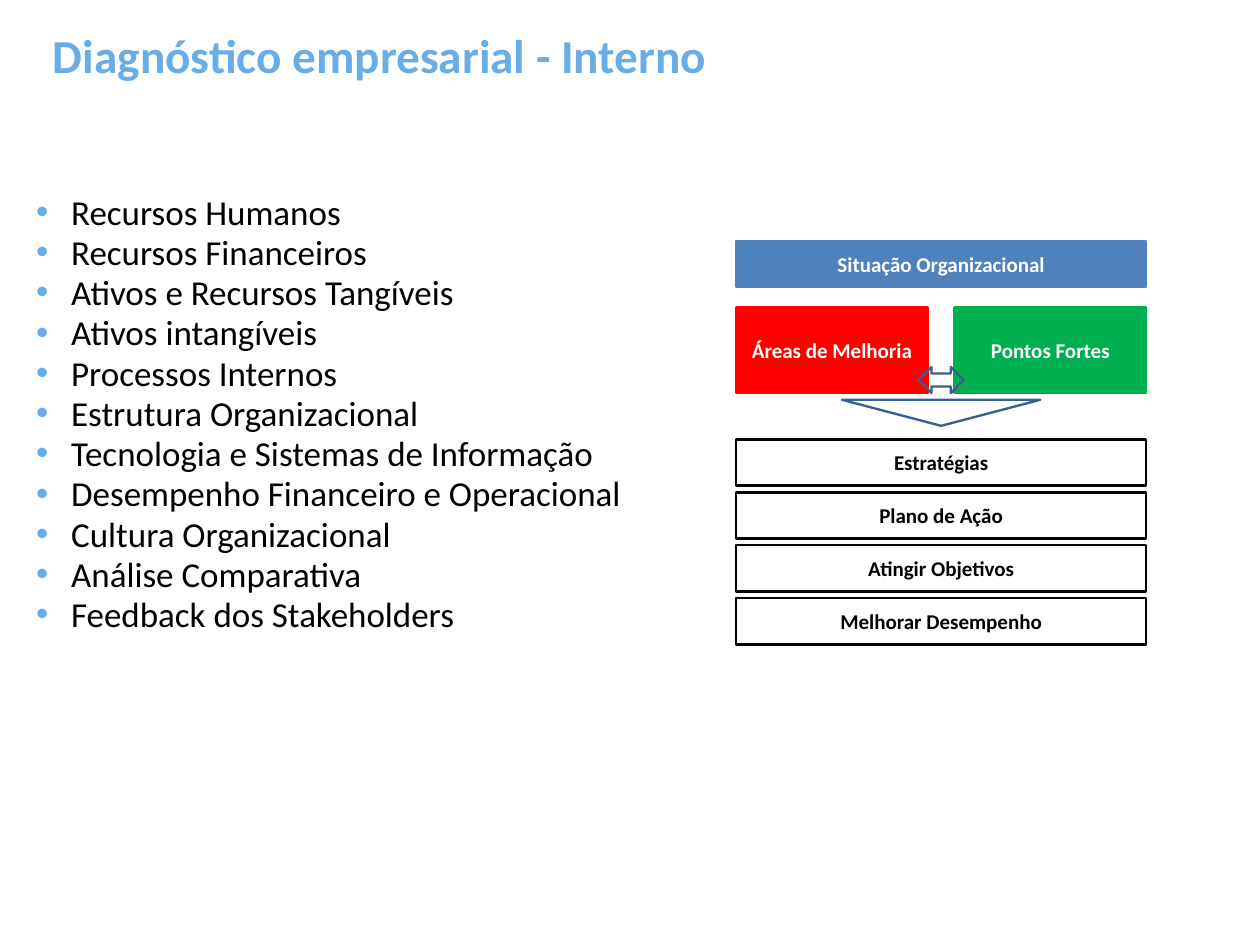
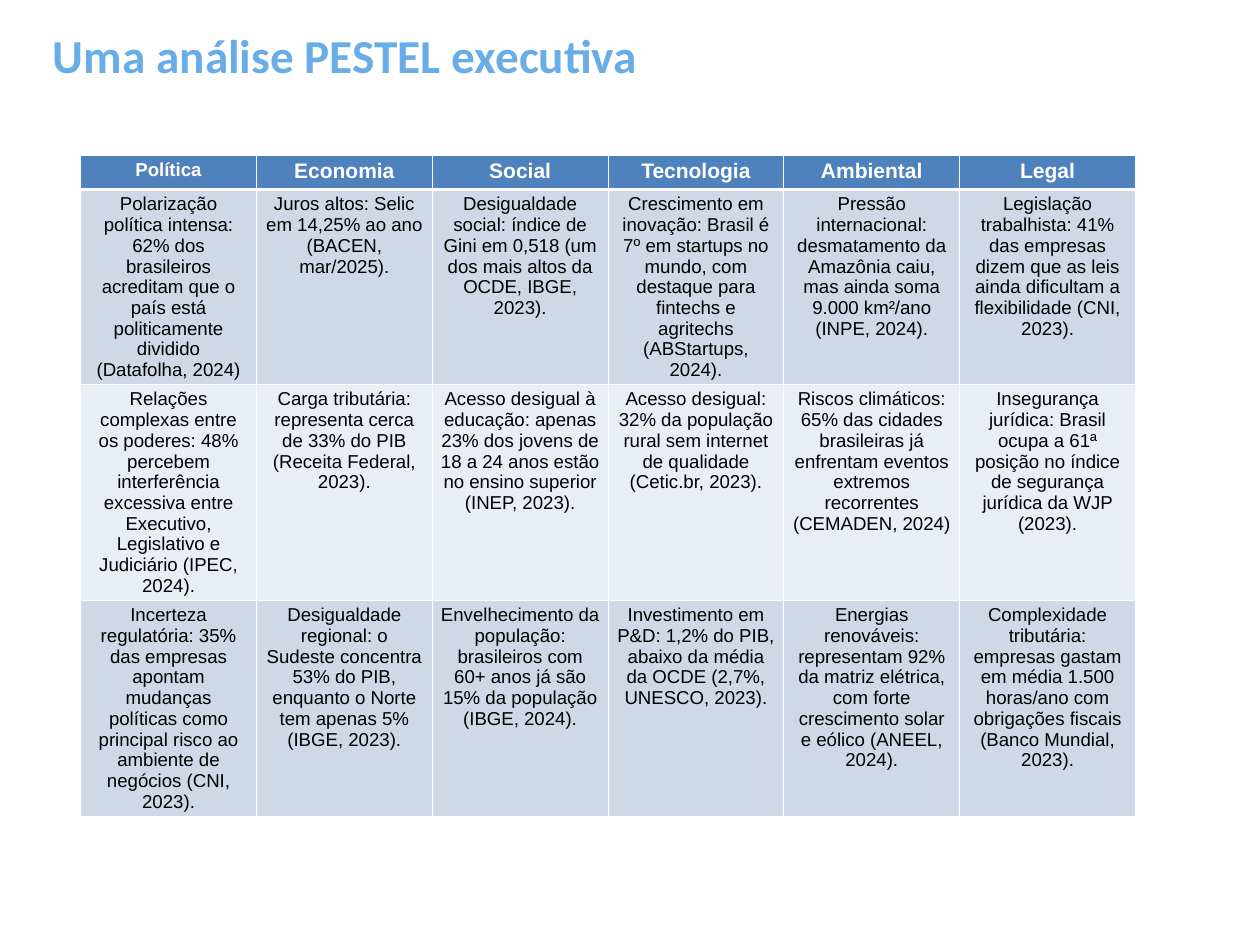
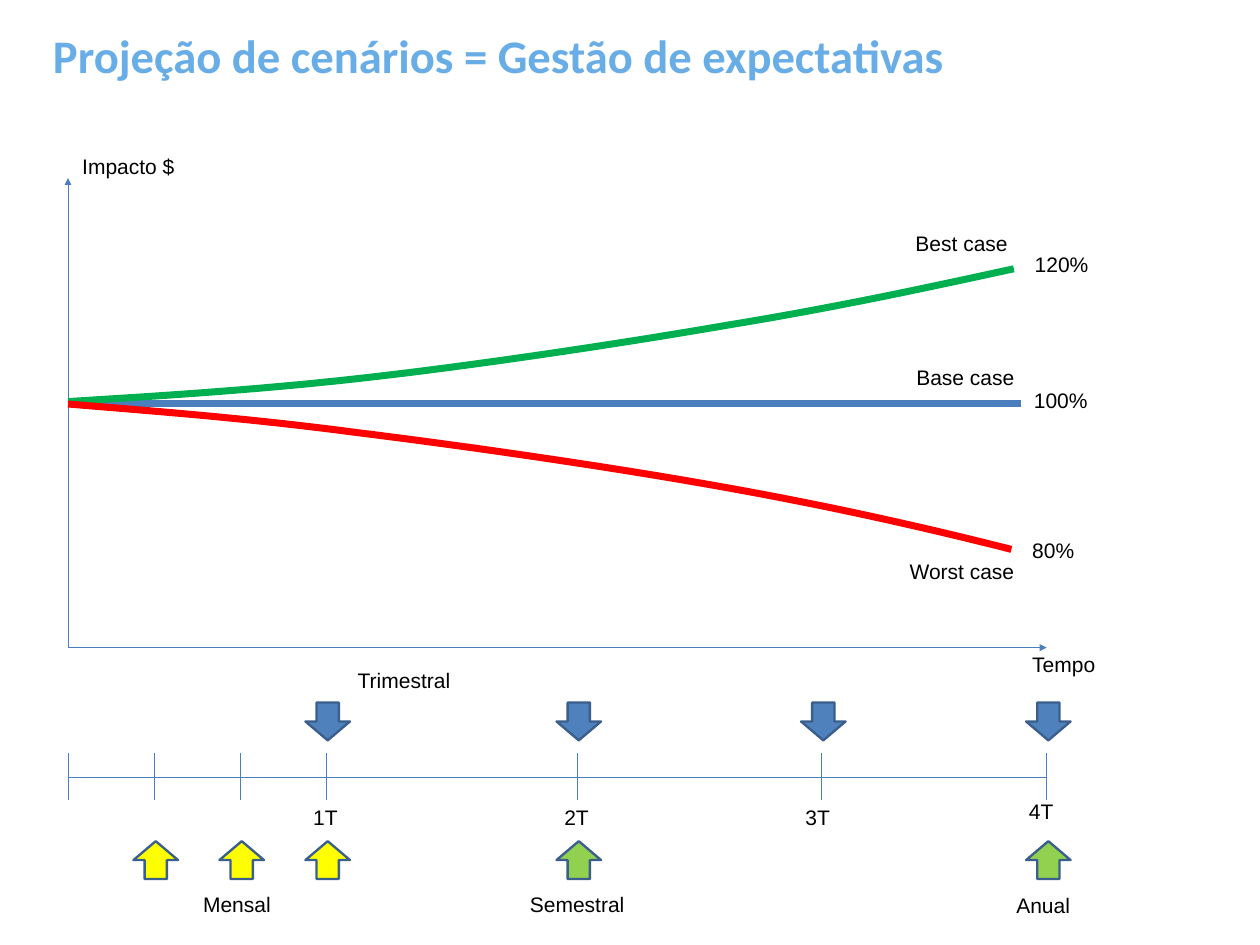
from lxml.etree import SubElement
from pptx import Presentation
from pptx.dml.color import RGBColor
from pptx.enum.shapes import MSO_CONNECTOR as Connector, MSO_SHAPE as Shape
from pptx.enum.text import MSO_ANCHOR as Anchor, MSO_AUTO_SIZE as AutoSize, PP_ALIGN as Align
from pptx.oxml.ns import qn
from pptx.util import Pt

# Shared colours and text formats
SKY = RGBColor(0x69, 0xAD, 0xE7)
BLUE = RGBColor(0x4F, 0x81, 0xBD)
LINE_BLUE = RGBColor(0x4B, 0x7E, 0xBC)
EDGE_BLUE = RGBColor(0x3A, 0x5F, 0x8C)
RED = RGBColor(0xFF, 0x00, 0x00)
GREEN = RGBColor(0x00, 0xB0, 0x50)
LIME = RGBColor(0x92, 0xD0, 0x50)
YELLOW = RGBColor(0xFF, 0xFF, 0x00)
BAND_DARK = RGBColor(0xD0, 0xD8, 0xE8)
BAND_LIGHT = RGBColor(0xE9, 0xED, 0xF4)
WHITE = RGBColor(0xFF, 0xFF, 0xFF)
BLACK = RGBColor(0x00, 0x00, 0x00)

BULLET_FORMAT = {"name": "Calibri", "size": Pt(30)}
BOX_FORMAT = {"name": "Calibri", "size": Pt(18), "bold": True}
LABEL_FORMAT = {"name": "Arial", "size": Pt(18)}

# Slide 1 content
RESOURCES = [
    "Recursos Humanos",
    "Recursos Financeiros",
    "Ativos e Recursos Tangíveis",
    "Ativos intangíveis",
    "Processos Internos",
    "Estrutura Organizacional",
    "Tecnologia e Sistemas de Informação",
    "Desempenho Financeiro e Operacional",
    "Cultura Organizacional",
    "Análise Comparativa",
    "Feedback dos Stakeholders",
]
SITUATION = "Situação Organizacional"
FINDINGS = [("Áreas de Melhoria", RED), ("Pontos Fortes", GREEN)]
STEPS = ["Estratégias", "Plano de Ação", "Atingir Objetivos", "Melhorar Desempenho"]

# Slide 2 content: one entry per column, heading first
PESTEL = [
    ("Política",
     "Polarização política intensa: 62% dos brasileiros acreditam que o país está "
     "politicamente dividido (Datafolha, 2024)",
     "Relações complexas entre os poderes: 48% percebem interferência excessiva entre "
     "Executivo, Legislativo e Judiciário (IPEC, 2024).",
     "Incerteza regulatória: 35% das empresas apontam mudanças políticas como principal "
     "risco ao ambiente de negócios (CNI, 2023)."),
    ("Economia",
     "Juros altos: Selic em 14,25% ao ano (BACEN, mar/2025).",
     "Carga tributária: representa cerca de 33% do PIB (Receita Federal, 2023).",
     "Desigualdade regional: o Sudeste concentra 53% do PIB, enquanto o Norte tem apenas "
     "5% (IBGE, 2023)."),
    ("Social",
     "Desigualdade social: índice de Gini em 0,518 (um dos mais altos da OCDE, IBGE, 2023).",
     "Acesso desigual à educação: apenas 23% dos jovens de 18 a 24 anos estão no ensino "
     "superior (INEP, 2023).",
     "Envelhecimento da população: brasileiros com 60+ anos já são 15% da população "
     "(IBGE, 2024)."),
    ("Tecnologia",
     "Crescimento em inovação: Brasil é 7º em startups no mundo, com destaque para "
     "fintechs e agritechs (ABStartups, 2024).",
     "Acesso desigual: 32% da população rural sem internet de qualidade (Cetic.br, 2023).",
     "Investimento em P&D: 1,2% do PIB, abaixo da média da OCDE (2,7%, UNESCO, 2023)."),
    ("Ambiental",
     "Pressão internacional: desmatamento da Amazônia caiu, mas ainda soma 9.000 km²/ano "
     "(INPE, 2024).",
     "Riscos climáticos: 65% das cidades brasileiras já enfrentam eventos extremos "
     "recorrentes (CEMADEN, 2024)",
     "Energias renováveis: representam 92% da matriz elétrica, com forte crescimento "
     "solar e eólico (ANEEL, 2024)."),
    ("Legal",
     "Legislação trabalhista: 41% das empresas dizem que as leis ainda dificultam a "
     "flexibilidade (CNI, 2023).",
     "Insegurança jurídica: Brasil ocupa a 61ª posição no índice de segurança jurídica da "
     "WJP (2023).",
     "Complexidade tributária: empresas gastam em média 1.500 horas/ano com obrigações "
     "fiscais (Banco Mundial, 2023)."),
]

# Slide 3 content: start point, then cubic segments (two handles and an end)
BEST_CASE = [(58.3, 344.2),
             (140.4, 339.1), (223.2, 334.1), (317.5, 323.3),
             (411.8, 312.5), (532.1, 294.5), (624.2, 278.6),
             (716.4, 263.5), (792.7, 247), (869, 230.4)]
WORST_CASE = [(58.3, 346.3),
              (136.1, 352.8), (213.8, 358.6), (306, 370.8),
              (398.9, 382.3), (519.1, 399.6), (612.7, 416.2),
              (706.3, 432.7), (787, 450.7), (866.9, 470.9)]
CHART_LABELS = [  # text, left, top, width
    ("Best case", 777.6, 194.4, 94.3), ("Base case", 778.3, 308.9, 99.4),
    ("Worst case", 772.6, 475.2, 105.1), ("Tempo", 877.7, 555.1, 69.1),
    ("Impacto $", 63.4, 128.2, 94.3), ("120%", 879.8, 211.7, 61.2),
    ("100%", 879.1, 329, 61.2), ("80%", 877.7, 457.2, 51.1),
    ("1T", 261.4, 686.2, 36), ("2T", 476.6, 686.2, 36),
    ("3T", 683.3, 686.2, 36), ("4T", 874.8, 681.1, 36),
    ("Mensal", 167, 760.3, 78.5), ("Trimestral", 299.5, 568.8, 99.4),
    ("Semestral", 447.1, 760.3, 101.5), ("Anual", 864, 761.8, 66.2),
]
AXIS_LEFT, AXIS_RIGHT, AXIS_TOP, AXIS_BOTTOM = 58.3, 897.1, 152.6, 555.1
BASE_Y, TIMELINE_Y = 345.6, 666
QUARTERS = [279.4, 494.6, 704.2, AXIS_RIGHT]
MONTH_GAP = (QUARTERS[0] - AXIS_LEFT) / 3
MONTHS = [AXIS_LEFT + MONTH_GAP * month for month in (1, 2, 3)]


def points(*lengths):
    return [Pt(length) for length in lengths]


def write(para, text, formats, color):
    span = para.add_run()
    span.text = text
    for name, value in formats.items():
        setattr(span.font, name, value)
    span.font.color.rgb = color


def place(shape, *frame):
    for name, value in zip(("left", "top", "width", "height"), points(*frame)):
        setattr(shape, name, value)


def add_page(deck, layout, title, size=40.5):
    page = deck.slides.add_slide(deck.slide_layouts[layout])
    box = page.shapes.title
    place(box, 38.2, 18.7, 807.8, 56.9)
    box.text_frame.vertical_anchor = Anchor.MIDDLE
    box.text_frame.auto_size = AutoSize.NONE
    para = box.text_frame.paragraphs[0]
    para.alignment = Align.LEFT
    write(para, title, {"name": "Calibri", "size": Pt(size), "bold": True}, SKY)
    return page


def outline(shape, color, width=2):
    shape.line.color.rgb = color
    shape.line.width = Pt(width)


def add_figure(page, kind, frame, fill, edge, rotation=0):
    shape = page.shapes.add_shape(kind, *points(*frame))
    shape.shadow.inherit = False
    shape.rotation = rotation
    if fill is None:
        shape.fill.background()
    else:
        shape.fill.solid()
        shape.fill.fore_color.rgb = fill
    outline(shape, edge)
    return shape


def add_box(page, frame, text, fill, edge, color=WHITE):
    frame_text = add_figure(page, Shape.RECTANGLE, frame, fill, edge).text_frame
    frame_text.word_wrap = True
    frame_text.vertical_anchor = Anchor.MIDDLE
    frame_text.paragraphs[0].alignment = Align.CENTER
    write(frame_text.paragraphs[0], text, BOX_FORMAT, color)


def add_line(page, start, end, color=LINE_BLUE, width=0.75, arrow=False):
    line = page.shapes.add_connector(Connector.STRAIGHT, *points(*start, *end))
    outline(line, color, width)
    if arrow:
        SubElement(line.line._get_or_add_ln(), qn("a:tailEnd"), type="triangle")
    SubElement(line._element.spPr, qn("a:effectLst"))


def add_curve(page, nodes, color, steps=20):
    curve = []
    for first in range(0, len(nodes) - 1, 3):
        segment = nodes[first:first + 4]
        for step in range(1, steps + 1):
            t = step / steps
            weights = ((1 - t) ** 3, 3 * t * (1 - t) ** 2, 3 * t * t * (1 - t), t ** 3)
            curve.append(points(*(sum(w * node[axis] for w, node in zip(weights, segment))
                                  for axis in (0, 1))))
    builder = page.shapes.build_freeform(*points(*nodes[0]))
    builder.add_line_segments(curve, close=False)
    shape = builder.convert_to_shape()
    shape.shadow.inherit = False
    shape.fill.background()
    outline(shape, color, 6)


def add_label(page, text, left, top, width):
    box = page.shapes.add_textbox(*points(left, top, width, 28.8))
    box.text_frame.word_wrap = False
    box.text_frame.auto_size = AutoSize.SHAPE_TO_FIT_TEXT
    write(box.text_frame.paragraphs[0], text, LABEL_FORMAT, BLACK)


def add_bullets(body, items):
    body.text_frame.auto_size = AutoSize.NONE
    for index, item in enumerate(items):
        para = body.text_frame.add_paragraph() if index else body.text_frame.paragraphs[0]
        para.line_spacing = Pt(28.5)
        para.space_before = Pt(6 if index else 0)
        props = para._p.get_or_add_pPr()
        props.set("marL", str(Pt(30)))
        props.set("indent", str(-Pt(30)))
        SubElement(SubElement(props, qn("a:buClr")), qn("a:srgbClr"), val=str(SKY))
        SubElement(props, qn("a:buFont"), typeface="Arial")
        SubElement(props, qn("a:buChar"), char="•")
        write(para, item, BULLET_FORMAT, BLACK)


def style_cell(cell, fill, bottom):
    props = cell._tc.get_or_add_tcPr()
    for side, width in (("L", 1), ("R", 1), ("T", 1), ("B", bottom)):
        border = SubElement(props, qn(f"a:ln{side}"), w=str(Pt(width)))
        SubElement(SubElement(border, qn("a:solidFill")), qn("a:srgbClr"), val=str(WHITE))
    cell.fill.solid()
    cell.fill.fore_color.rgb = fill


def build_diagnosis(deck):
    page = add_page(deck, 1, "Diagnóstico empresarial - Interno")
    body = page.placeholders[1]
    place(body, 23.8, 167, 566.6, 655.2)
    add_bullets(body, RESOURCES)

    # Situation and findings
    left, width, height = 631, 351.4, 39.6
    add_box(page, (left, 206.6, width, height), SITUATION, BLUE, BLUE)
    half = 164.2
    for index, (text, color) in enumerate(FINDINGS):
        add_box(page, (left + index * (width - half), 263.5, half, 73.4), text, color, color)
    middle = left + width / 2
    add_figure(page, Shape.LEFT_RIGHT_ARROW, (middle - 19.4, 314.6, 38.9, 22.3), None, EDGE_BLUE)
    add_figure(page, Shape.ISOSCELES_TRIANGLE, (middle - 85, 342.7, 170, 22.3),
               None, EDGE_BLUE, 180)

    # Steps that follow
    for index, text in enumerate(STEPS):
        add_box(page, (left, 376.6 + index * 45.4, width, height), text, WHITE, BLACK, BLACK)


def build_pestel(deck):
    page = add_page(deck, 5, "Uma análise PESTEL executiva")
    rows = list(zip(*PESTEL))
    table = page.shapes.add_table(len(rows), len(PESTEL),
                                  *points(69.1, 133.2, 904.3, 118)).table
    for row in table.rows:
        row.height = Pt(29.5)
    for number, texts in enumerate(rows):
        header = number == 0
        fill = BLUE if header else (BAND_LIGHT, BAND_DARK)[number % 2]
        for column, text in enumerate(texts):
            cell = table.cell(number, column)
            style_cell(cell, fill, 3 if header else 1)
            para = cell.text_frame.paragraphs[0]
            para.alignment = Align.CENTER
            size = 18 if header and column else 16
            write(para, text, {"name": "Arial", "size": Pt(size), "bold": header},
                  WHITE if header else BLACK)


def build_scenarios(deck):
    page = add_page(deck, 5, "Projeção de cenários = Gestão de expectativas", 40)

    # Axes and scenarios
    origin = (AXIS_LEFT, AXIS_BOTTOM)
    add_line(page, origin, (AXIS_LEFT, AXIS_TOP), arrow=True)
    add_line(page, origin, (AXIS_RIGHT, AXIS_BOTTOM), arrow=True)
    add_line(page, (AXIS_LEFT, BASE_Y), (874.8, BASE_Y), width=6)
    add_curve(page, BEST_CASE, GREEN)
    add_curve(page, WORST_CASE, RED)

    # Timeline with review arrows
    add_line(page, (AXIS_LEFT, TIMELINE_Y), (AXIS_RIGHT, TIMELINE_Y))
    for x in [AXIS_LEFT, *MONTHS, *QUARTERS[1:]]:
        add_line(page, (x, TIMELINE_Y - 20.2), (x, TIMELINE_Y + 19.4))
    reviews = [(QUARTERS, 602.2, BLUE, 0), (MONTHS, 721, YELLOW, 180),
               (QUARTERS[1::2], 721, LIME, 180)]
    for ticks, top, color, rotation in reviews:
        for x in ticks:
            add_figure(page, Shape.DOWN_ARROW, (x - 17.6, top, 38.2, 32.4),
                       color, EDGE_BLUE, rotation)

    for label in CHART_LABELS:
        add_label(page, *label)


def main():
    deck = Presentation()
    deck.slide_width, deck.slide_height = points(1080, 810)
    build_diagnosis(deck)
    build_pestel(deck)
    build_scenarios(deck)
    deck.save("out.pptx")


if __name__ == "__main__":
    main()
